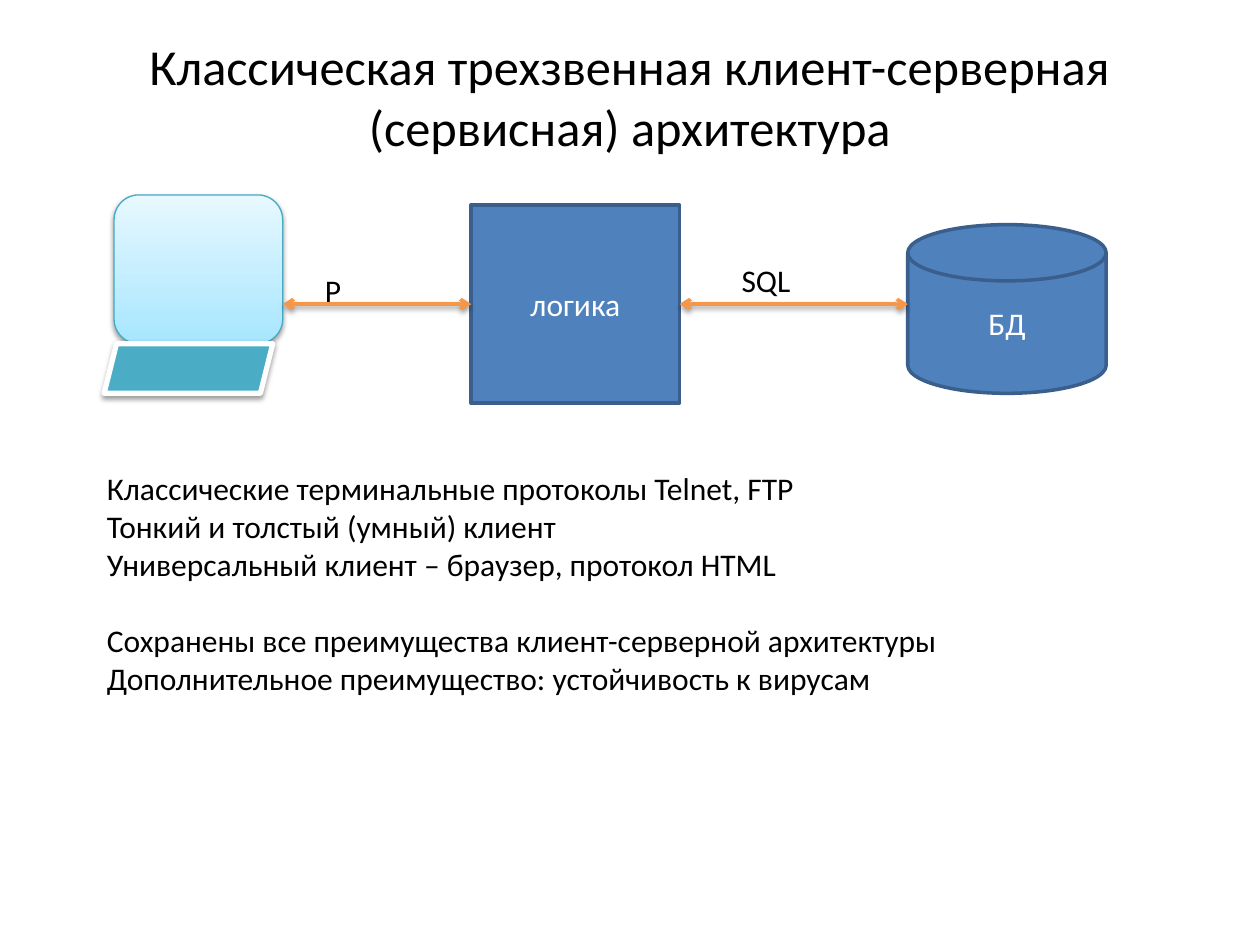
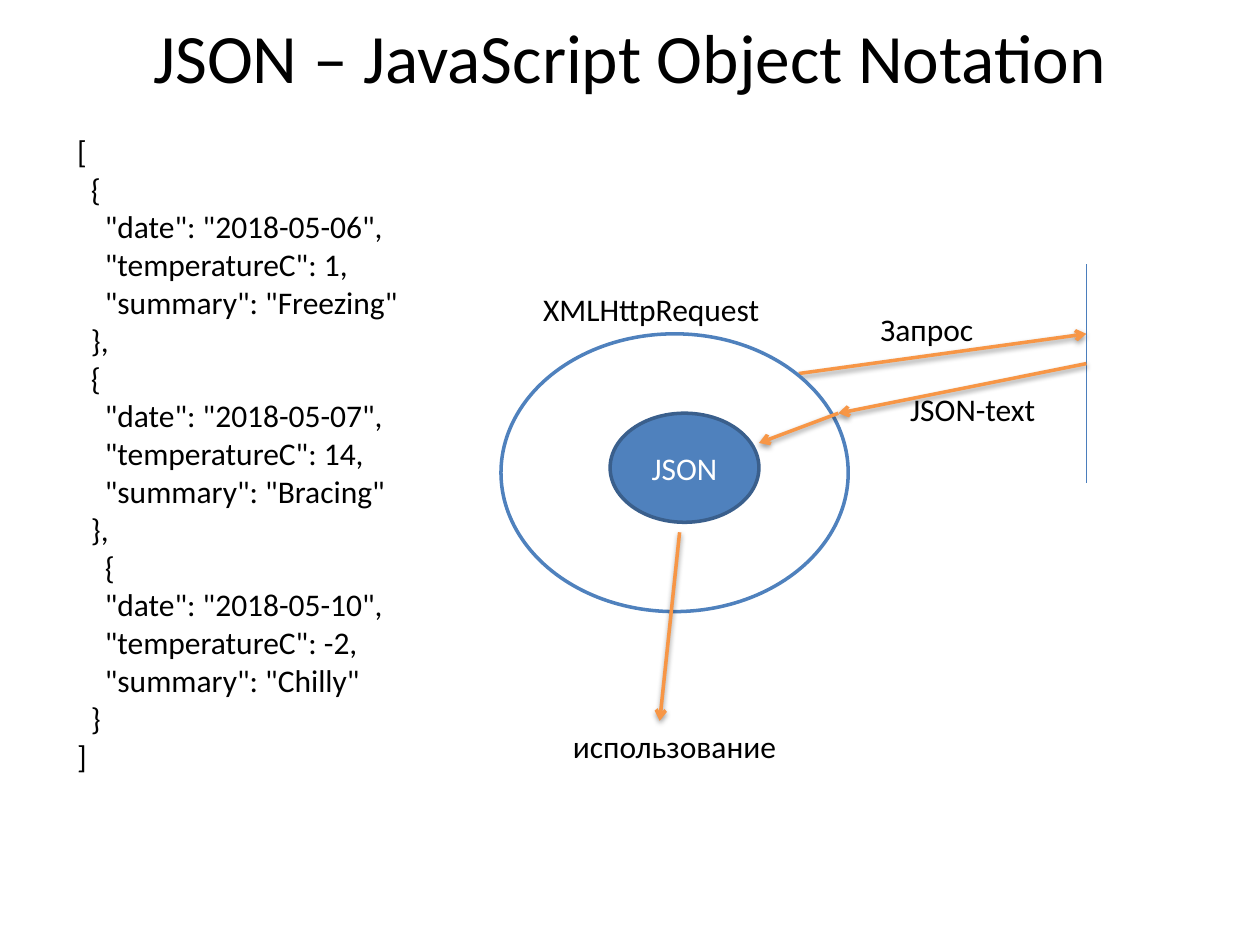
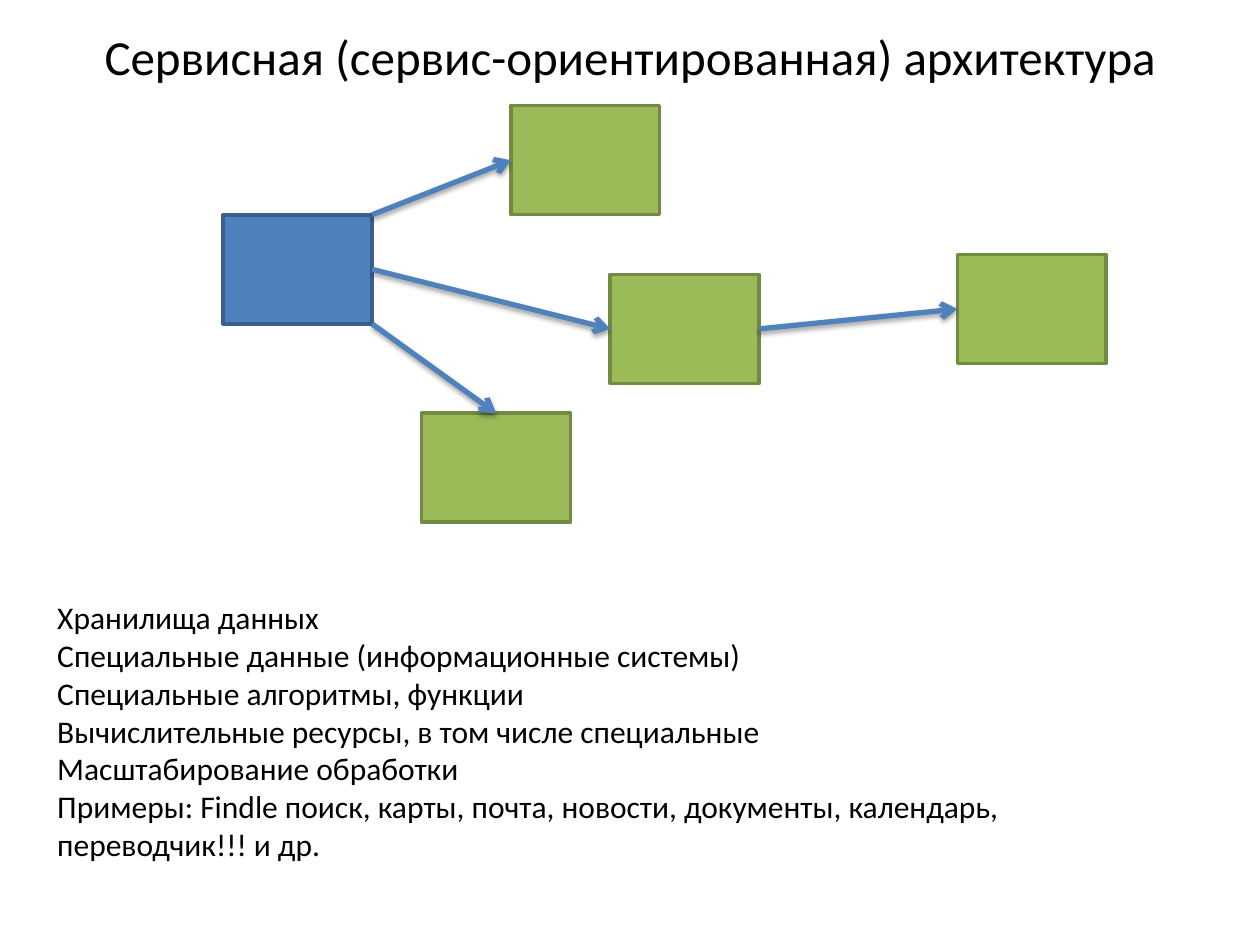
from dataclasses import dataclass
from typing import Optional, Union

from lxml import etree
from pptx import Presentation
from pptx import util as u
from pptx.dml.color import RGBColor
from pptx.enum import shapes, text
from pptx.oxml.ns import qn

CELL = 2  # grid step, millimetres
MARGIN_X, MARGIN_Y = 0.5, 0.65  # grid origin, in cells
FONT, BODY_SIZE = "Calibri", 18
INDENT = u.Inches(0.11)  # one level of nesting in code
BLACK, WHITE = "000000", "FFFFFF"
BLUE, BLUE_EDGE = "4F81BD", "3A5F8C"
GREEN, GREEN_EDGE = "9BBB59", "738A42"
ORANGE, TEAL, TEAL_EDGE = "F79646", "4BACC6", "46AAC5"
SCREEN_BOTTOM, SCREEN_TOP = "A7E6FF", "E7F8FF"
SHAPE = shapes.MSO_SHAPE


@dataclass(frozen=True)
class Area:
    """A rectangle in grid cells."""
    col: float
    row: float
    cols: float
    rows: float


@dataclass(frozen=True)
class Node:
    area: Area
    kind: SHAPE = SHAPE.RECTANGLE
    caption: str = ""
    fill: str = BLUE
    edge: str = BLUE_EDGE
    weight: float = 2
    fill_top: Optional[str] = None
    shadow: bool = False


@dataclass(frozen=True)
class Label:
    area: Area
    caption: str


@dataclass(frozen=True)
class Link:
    start: tuple[float, float]
    end: tuple[float, float]
    color: str = ORANGE
    weight: float = 2
    heads: tuple[str, ...] = ("tailEnd",)
    shadow: bool = True


@dataclass(frozen=True)
class Line:
    caption: str
    level: int = 0
    gap: float = 0


@dataclass(frozen=True)
class Page:
    title: str
    title_area: Area
    title_size: float
    lines: list[Line]
    lines_area: Area
    items: list[Union[Node, Label, Link]]


def rgb(color: str) -> RGBColor:
    return RGBColor.from_string(color)


def x(col: float) -> int:
    return u.Mm((col + MARGIN_X) * CELL)


def y(row: float) -> int:
    return u.Mm((row + MARGIN_Y) * CELL)


def bounds(area: Area) -> tuple[int, int, int, int]:
    return x(area.col), y(area.row), u.Mm(area.cols * CELL), u.Mm(area.rows * CELL)


def place(box, area: Area) -> None:
    box.left, box.top, box.width, box.height = bounds(area)


def style(para, size: float = BODY_SIZE, color: str = BLACK) -> None:
    for span in para.runs:
        span.font.name = FONT
        span.font.size = u.Pt(size)
        span.font.color.rgb = rgb(color)


def set_effects(shape, shadow: bool) -> None:
    """Give the shape a soft drop shadow, or none at all."""
    properties = shape._element.spPr
    effects = properties.find(qn("a:effectLst"))
    if effects is None:
        effects = etree.SubElement(properties, qn("a:effectLst"))
    if shadow:
        outer = etree.SubElement(
            effects, qn("a:outerShdw"), blurRad=str(u.Pt(3.1)),
            dist=str(u.Pt(1.6)), dir="5400000", rotWithShape="0")
        color = etree.SubElement(outer, qn("a:srgbClr"), val=BLACK)
        etree.SubElement(color, qn("a:alpha"), val="38000")


def add_node(slide, node: Node) -> None:
    shape = slide.shapes.add_shape(node.kind, *bounds(node.area))
    if node.fill_top:
        shape.fill.gradient()
        shape.fill.gradient_angle = 90
        for stop, color in zip(shape.fill.gradient_stops, (node.fill, node.fill_top)):
            stop.color.rgb = rgb(color)
    else:
        shape.fill.solid()
        shape.fill.fore_color.rgb = rgb(node.fill)
    shape.line.color.rgb = rgb(node.edge)
    shape.line.width = u.Pt(node.weight)
    shape.shadow.inherit = False
    set_effects(shape, node.shadow)
    if node.caption:
        frame = shape.text_frame
        frame.text = node.caption
        frame.vertical_anchor = text.MSO_ANCHOR.MIDDLE
        frame.paragraphs[0].alignment = text.PP_ALIGN.CENTER
        style(frame.paragraphs[0], color=WHITE)


def add_label(slide, label: Label) -> None:
    frame = slide.shapes.add_textbox(*bounds(label.area)).text_frame
    frame.word_wrap = True
    frame.text = label.caption
    style(frame.paragraphs[0])


def add_link(slide, link: Link) -> None:
    (col, row), (end_col, end_row) = link.start, link.end
    connector = slide.shapes.add_connector(
        shapes.MSO_CONNECTOR.STRAIGHT, x(col), y(row), x(end_col), y(end_row))
    connector.line.color.rgb = rgb(link.color)
    connector.line.width = u.Pt(link.weight)
    outline = connector.line._get_or_add_ln()
    for head in link.heads:
        etree.SubElement(outline, qn(f"a:{head}"), type="arrow")
    set_effects(connector, link.shadow)


def fill_title(box, page: Page) -> None:
    place(box, page.title_area)
    frame = box.text_frame
    frame.text = page.title
    frame.auto_size = text.MSO_AUTO_SIZE.NONE
    frame.vertical_anchor = text.MSO_ANCHOR.MIDDLE
    frame.paragraphs[0].alignment = text.PP_ALIGN.CENTER
    style(frame.paragraphs[0], page.title_size)


def fill_lines(box, page: Page) -> None:
    place(box, page.lines_area)
    frame = box.text_frame
    frame.text = "\n".join(line.caption for line in page.lines)
    frame.auto_size = text.MSO_AUTO_SIZE.NONE
    for para, line in zip(frame.paragraphs, page.lines):
        para.space_before = u.Pt(line.gap)
        properties = para._p.get_or_add_pPr()
        properties.set("marL", str(line.level * INDENT))
        properties.set("indent", "0")
        etree.SubElement(properties, qn("a:buNone"))
        style(para)


def add_page(deck, page: Page) -> None:
    slide = deck.slides.add_slide(deck.slide_layouts[1])
    fill_title(slide.shapes.title, page)
    fill_lines(slide.placeholders[1], page)
    painters = {Node: add_node, Label: add_label, Link: add_link}
    for item in page.items:
        painters[type(item)](slide, item)


def forecast_lines() -> list[Line]:
    """Lay out the weather records as indented JSON."""
    records = [("2018-05-06", 1, "Freezing"), ("2018-05-07", 14, "Bracing"),
               ("2018-05-10", -2, "Chilly")]
    lines = [Line("[")]
    for number, (date, degrees, summary) in enumerate(records, 1):
        last = number == len(records)
        lines += [
            Line("{", 2 if last else 1),
            Line(f'"date": "{date}",', 2),
            Line(f'"temperatureC": {degrees},', 2),
            Line(f'"summary": "{summary}"', 2),
            Line("}" if last else "},", 1),
        ]
    return lines + [Line("]")]


def service(col: float, row: float, fill: str = GREEN, edge: str = GREEN_EDGE) -> Node:
    return Node(Area(col, row, 15, 11), fill=fill, edge=edge)


def call(start: tuple[float, float], end: tuple[float, float]) -> Link:
    return Link(start, end, BLUE, 3)


BOTH_ENDS = ("headEnd", "tailEnd")

THREE_TIER = Page(
    "Классическая трехзвенная клиент-серверная (сервисная) архитектура",
    Area(6, 2, 114, 14), 28.8,
    [Line("Классические терминальные протоколы Telnet, FTP"),
     Line("Тонкий и толстый (умный) клиент"),
     Line("Универсальный клиент – браузер, протокол HTML"),
     Line("Сохранены все преимущества клиент-серверной архитектуры", gap=22),
     Line("Дополнительное преимущество: устойчивость к вирусам")],
    Area(9, 46, 107, 28),
    [Node(Area(91, 22, 20, 17), SHAPE.FLOWCHART_MAGNETIC_DISK, "БД"),
     Node(Area(47, 20, 21, 20), caption="логика"),
     Link((68, 30), (91, 30), heads=BOTH_ENDS),
     Node(Area(11, 19, 17, 15), SHAPE.ROUNDED_RECTANGLE, fill=SCREEN_BOTTOM,
          fill_top=SCREEN_TOP, edge=TEAL_EDGE, weight=0.75, shadow=True),
     Node(Area(10, 34, 17, 5), SHAPE.PARALLELOGRAM, fill=TEAL, edge=WHITE,
          weight=3, shadow=True),
     Link((28, 30), (47, 30), heads=BOTH_ENDS),
     Label(Area(73, 25, 15, 5), "SQL"),
     Label(Area(31, 26, 13, 5), "P")])

JSON_EXCHANGE = Page(
    "JSON – JavaScript Object Notation", Area(6, 2, 114, 6), 39.6,
    forecast_lines(), Area(6, 12, 42, 70),
    [Link((80, 37), (109, 33)),
     Link((109, 26), (109, 48), "4B7EBC", 0.75, heads=(), shadow=False),
     Link((109, 36), (84, 41)),
     Label(Area(87, 30, 13, 5), "Запрос"),
     Label(Area(90, 38, 16, 5), "JSON-text"),
     Node(Area(50, 33, 35, 28), SHAPE.OVAL, fill=WHITE, edge=BLUE),
     Label(Area(53, 28, 26, 5), "XMLHttpRequest"),
     Link((84, 41), (76, 44)),
     Node(Area(61, 41, 15, 11), SHAPE.OVAL, "JSON"),
     Link((68, 53), (66, 72)),
     Label(Area(56, 72, 27, 5), "использование")])

SERVICES = Page(
    "Сервисная (сервис-ориентированная) архитектура", Area(6, 3, 114, 4), 28,
    [Line("Хранилища данных"),
     Line("Специальные данные (информационные системы)"),
     Line("Специальные алгоритмы, функции"),
     Line("Вычислительные ресурсы, в том числе специальные"),
     Line("Масштабирование обработки"),
     Line("Примеры: Findle поиск, карты, почта, новости, документы, календарь, "
          "переводчик!!! и др.")],
    Area(4, 59, 115, 28),
    [service(22, 21, BLUE, BLUE_EDGE),
     service(51, 10), service(96, 25), service(61, 27), service(42, 41),
     call((37, 21), (51, 15.5)),
     call((37, 26.5), (61, 32.5)),
     call((37, 32), (49.5, 41)),
     call((76, 32.5), (96, 30.5))])


def main() -> None:
    deck = Presentation()
    deck.slide_width, deck.slide_height = u.Inches(10), u.Inches(7.5)
    for page in (THREE_TIER, JSON_EXCHANGE, SERVICES):
        add_page(deck, page)
    deck.save("out.pptx")


if __name__ == "__main__":
    main()
